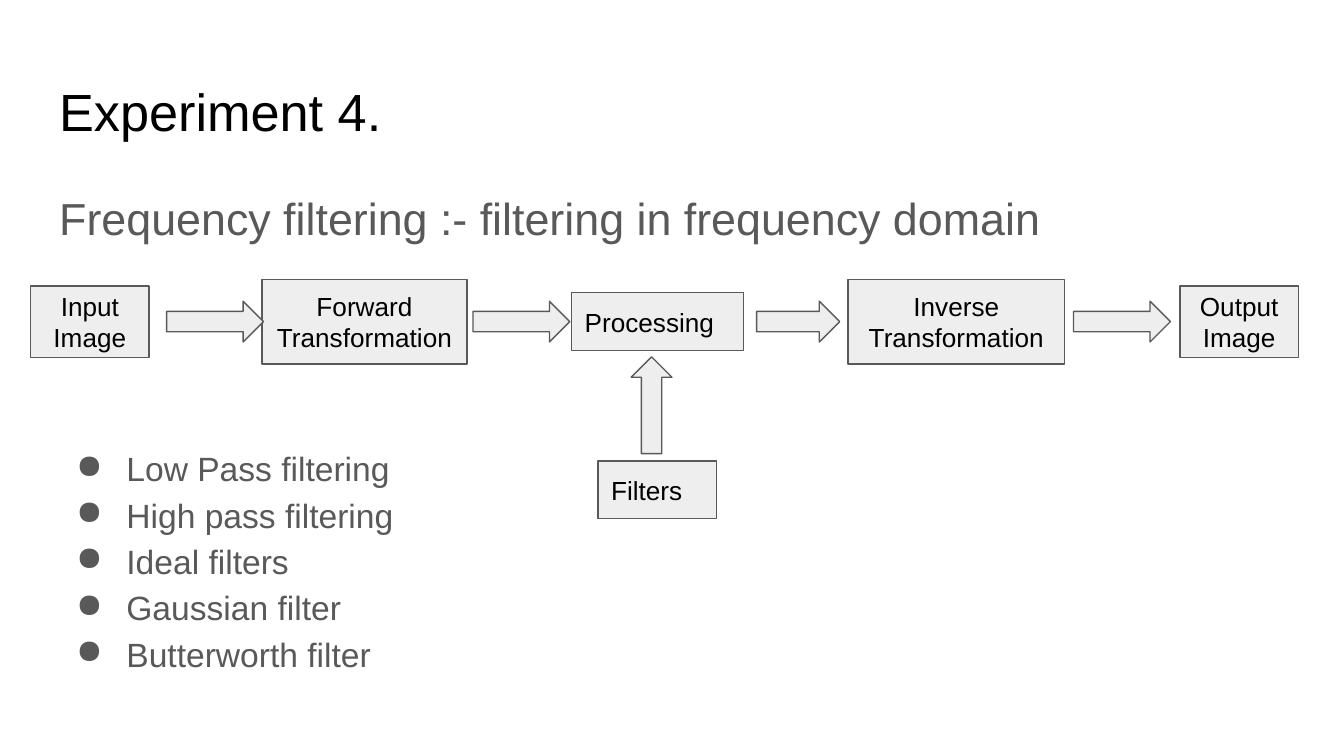
from lxml import etree
from pptx import Presentation
from pptx.dml.color import RGBColor
from pptx.enum.shapes import MSO_SHAPE
from pptx.enum.text import MSO_ANCHOR, PP_ALIGN
from pptx.oxml.ns import qn
from pptx.util import Cm, Pt

RECT, ARROW = MSO_SHAPE.RECTANGLE, MSO_SHAPE.RIGHT_ARROW
MIDDLE, TOP = MSO_ANCHOR.MIDDLE, MSO_ANCHOR.TOP
LEFT, CENTER = PP_ALIGN.LEFT, PP_ALIGN.CENTER
BLACK, GRAY, PALE = "000000", "595959", "EEEEEE"


def write(shape, lines, size, color, align=LEFT, anchor=TOP):
    frame = shape.text_frame
    frame.word_wrap = True
    frame.vertical_anchor = anchor
    frame.margin_left = frame.margin_right = Cm(0.25)
    frame.margin_top = frame.margin_bottom = Cm(0.25)
    for i, line in enumerate(lines):
        para = frame.paragraphs[0] if i == 0 else frame.add_paragraph()
        para.alignment = align
        run = para.add_run()
        run.text = line
        run.font.name = "Arial"
        run.font.size = Pt(size)
        run.font.color.rgb = RGBColor.from_string(color)
    return frame.paragraphs


def block(kind, left, mid, width, height):
    shape = slide.shapes.add_shape(
        kind, Cm(left), Cm(mid - height / 2), Cm(width), Cm(height))
    shape.shadow.inherit = False
    shape.fill.solid()
    shape.fill.fore_color.rgb = RGBColor.from_string(PALE)
    shape.line.color.rgb = RGBColor.from_string(GRAY)
    shape.line.width = Pt(0.75)
    return shape


deck = Presentation()
deck.slide_width, deck.slide_height = Cm(25.4), Cm(14.29)
slide = deck.slides.add_slide(deck.slide_layouts[6])

# Title
title = slide.shapes.add_textbox(Cm(0.87), Cm(1.24), Cm(23.67), Cm(1.6))
write(title, ["Experiment 4."], 28, BLACK)

# Heading and filter list
body = slide.shapes.add_textbox(Cm(0.87), Cm(3.2), Cm(23.67), Cm(10.72))
names = ["Low Pass filtering", "High pass filtering", "Ideal filters",
         "Gaussian filter", "Butterworth filter"]
head, *items = write(
    body, ["Frequency filtering :- filtering in frequency domain"] + names,
    18, GRAY)
head.runs[0].font.size = Pt(24)
head.line_spacing = 1.15
items[0].space_before = Pt(106)  # room for the flow chart
for item in items:
    item.line_spacing = 1.15
    props = item._p.get_or_add_pPr()
    props.set("marL", str(Cm(1.27)))
    props.set("indent", str(Cm(-0.95)))
    tint = etree.SubElement(props, qn("a:buClr"))
    etree.SubElement(tint, qn("a:srgbClr"), val=GRAY)
    etree.SubElement(props, qn("a:buChar"), char="●")

# Flow chart boxes: lines, left, middle, width, height, alignment
row = 6.08
boxes = [
    (["Input Image"], 0.58, row, 2.24, 1.35, CENTER),
    (["Forward", "Transformation"], 4.95, row, 3.88, 1.6, CENTER),
    (["Processing"], 10.8, row, 3.25, 1.09, LEFT),
    (["Inverse Transformation"], 16.03, row, 4.09, 1.6, CENTER),
    (["Output Image"], 22.3, row, 2.24, 1.35, CENTER),
    (["Filters"], 11.3, 9.26, 2.24, 1.09, LEFT),
]
for lines, left, mid, width, height, align in boxes:
    box = block(RECT, left, mid, width, height)
    write(box, lines, 14, BLACK, align, MIDDLE)

# Block arrows: left, middle, width, rotation
arrows = [
    (3.15, row, 1.83, 0),
    (8.94, row, 1.83, 0),
    (14.3, row, 1.57, 0),
    (20.29, row, 1.83, 0),
    (11.4, 7.66, 1.83, 270),
]
for left, mid, width, turn in arrows:
    block(ARROW, left, mid, width, 0.77).rotation = turn

deck.save("out.pptx")
